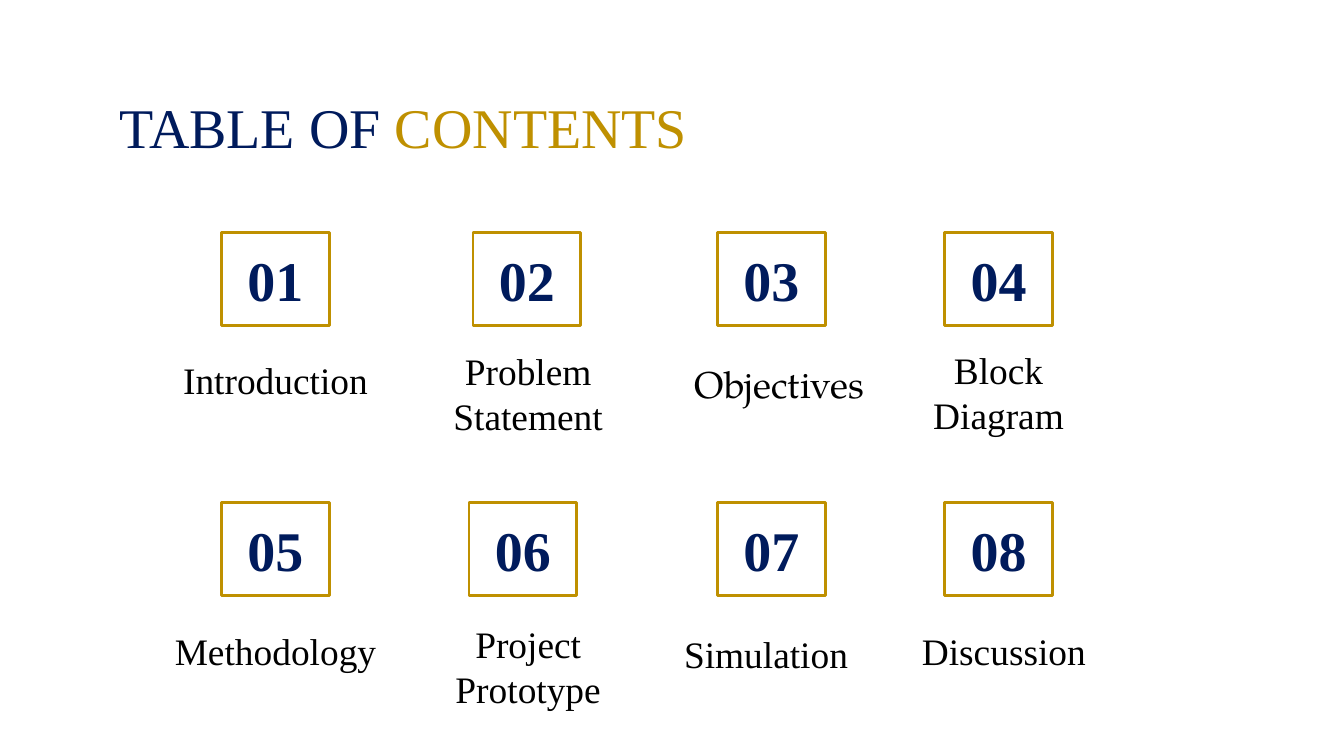
from dataclasses import dataclass

from pptx import Presentation
from pptx.dml.color import RGBColor
from pptx.enum.shapes import MSO_SHAPE
from pptx.enum.text import MSO_ANCHOR, PP_ALIGN
from pptx.slide import Slide
from pptx.text.text import TextFrame, _Paragraph
from pptx.util import Inches, Pt


@dataclass(frozen=True)
class Theme:
    navy: RGBColor = RGBColor(0x00, 0x1B, 0x5C)
    gold: RGBColor = RGBColor(0xBF, 0x90, 0x00)
    black: RGBColor = RGBColor(0, 0, 0)
    white: RGBColor = RGBColor(255, 255, 255)
    font: str = "Times New Roman"
    accent_font: str = "TeX Gyre Pagella"
    heading_size: int = 30
    label_size: int = 20


THEME = Theme()


@dataclass(frozen=True)
class Entry:
    lines: tuple[str, ...]
    number_left: float
    label_left: float
    label_top: float
    font: str = THEME.font


# Contents, one tuple per row
ROW_TOPS = (1.73, 3.74)
ROWS = (
    (
        Entry(("Introduction",), 1.65, 0.79, 2.56),
        Entry(("Problem", "Statement"), 3.52, 2.67, 2.83),
        Entry(("Objectives",), 5.34, 4.54, 2.59, THEME.accent_font),
        Entry(("Block", "Diagram"), 7.03, 6.17, 2.82),
    ),
    (
        Entry(("Methodology",), 1.65, 0.79, 4.58),
        Entry(("Project", "Prototype"), 3.49, 2.67, 4.86),
        Entry(("Simulation",), 5.34, 4.44, 4.6),
        Entry(("Discussion",), 7.03, 6.21, 4.58),
    ),
)


def set_frame(frame: TextFrame, anchor: MSO_ANCHOR) -> None:
    frame.word_wrap = True
    frame.vertical_anchor = anchor
    frame.margin_left = frame.margin_right = Inches(0.1)
    frame.margin_top = frame.margin_bottom = Inches(0.1)


def add_span(para: _Paragraph, text: str, size: int, color: RGBColor,
             font: str = THEME.font, bold: bool = False) -> None:
    span = para.add_run()
    span.text = text
    span.font.name = font
    span.font.size = Pt(size)
    span.font.bold = bold
    span.font.color.rgb = color


def add_title(page: Slide) -> None:
    box = page.shapes.add_textbox(Inches(0.79), Inches(0.59), Inches(8.43), Inches(0.63))
    set_frame(box.text_frame, MSO_ANCHOR.TOP)
    para = box.text_frame.paragraphs[0]
    add_span(para, "TABLE OF ", THEME.heading_size, THEME.navy)
    add_span(para, "CONTENTS", THEME.heading_size, THEME.gold)


def add_number(page: Slide, number: int, left: float, top: float) -> None:
    box = page.shapes.add_shape(
        MSO_SHAPE.RECTANGLE, Inches(left), Inches(top), Inches(0.8), Inches(0.69))
    box.shadow.inherit = False
    box.fill.background()
    box.line.color.rgb = THEME.gold
    box.line.width = Pt(1.5)
    set_frame(box.text_frame, MSO_ANCHOR.MIDDLE)
    para = box.text_frame.paragraphs[0]
    para.alignment = PP_ALIGN.CENTER
    add_span(para, f"{number:02}", THEME.heading_size, THEME.navy, bold=True)


def add_label(page: Slide, entry: Entry) -> None:
    box = page.shapes.add_textbox(
        Inches(entry.label_left), Inches(entry.label_top), Inches(2.52), Inches(0.53))
    frame = box.text_frame
    set_frame(frame, MSO_ANCHOR.BOTTOM)
    for index, line in enumerate(entry.lines):
        para = frame.add_paragraph() if index else frame.paragraphs[0]
        para.alignment = PP_ALIGN.CENTER
        add_span(para, line, THEME.label_size, THEME.black, entry.font)


def main() -> None:
    deck = Presentation()
    # Widescreen page, 16 to 9
    deck.slide_width = Inches(10)
    deck.slide_height = Inches(10) * 9 // 16
    page = deck.slides.add_slide(deck.slide_layouts[6])
    page.background.fill.solid()
    page.background.fill.fore_color.rgb = THEME.white

    add_title(page)

    # Numbered grid
    number = 1
    for top, row in zip(ROW_TOPS, ROWS):
        for entry in row:
            add_number(page, number, entry.number_left, top)
            add_label(page, entry)
            number += 1

    deck.save("out.pptx")


if __name__ == "__main__":
    main()
